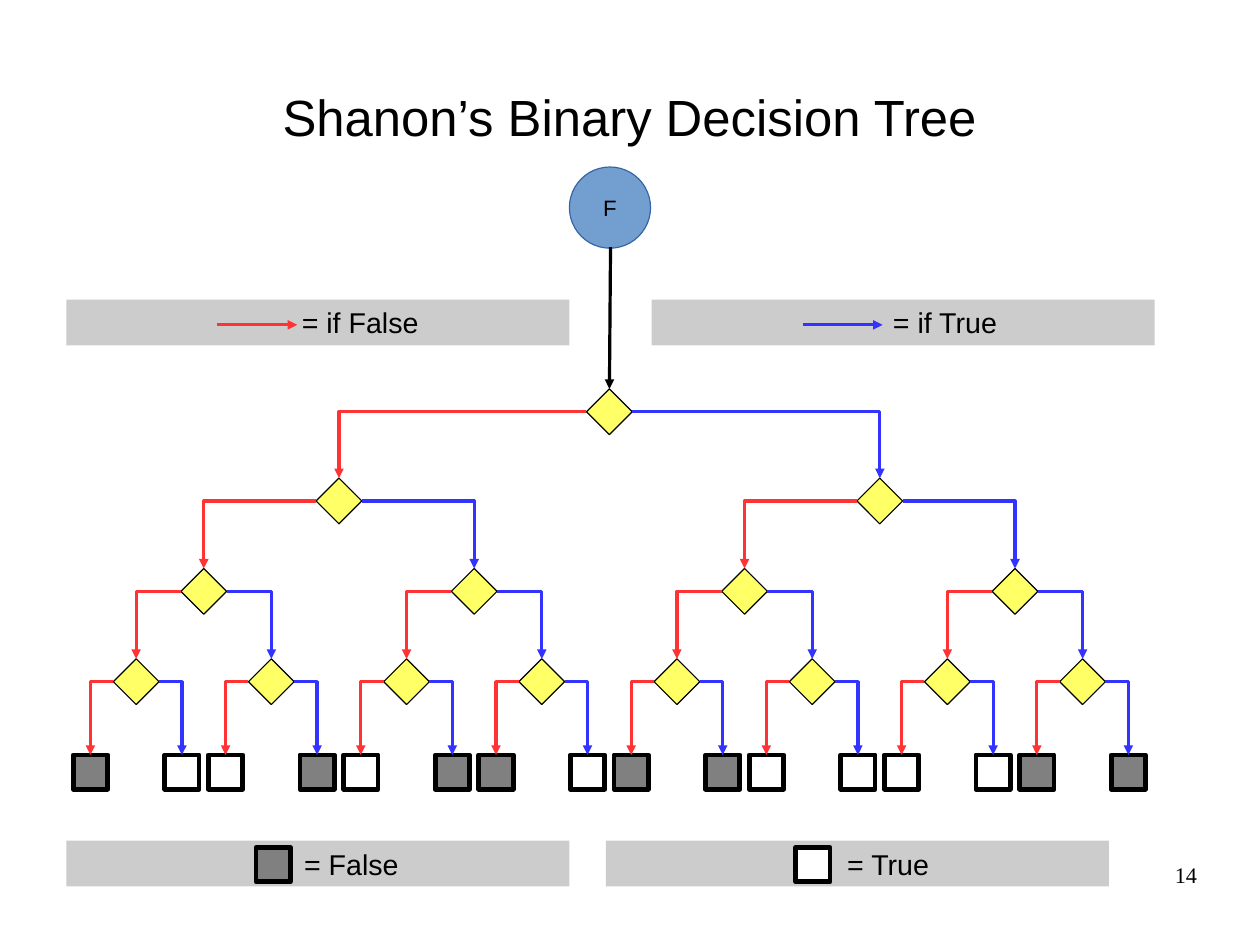
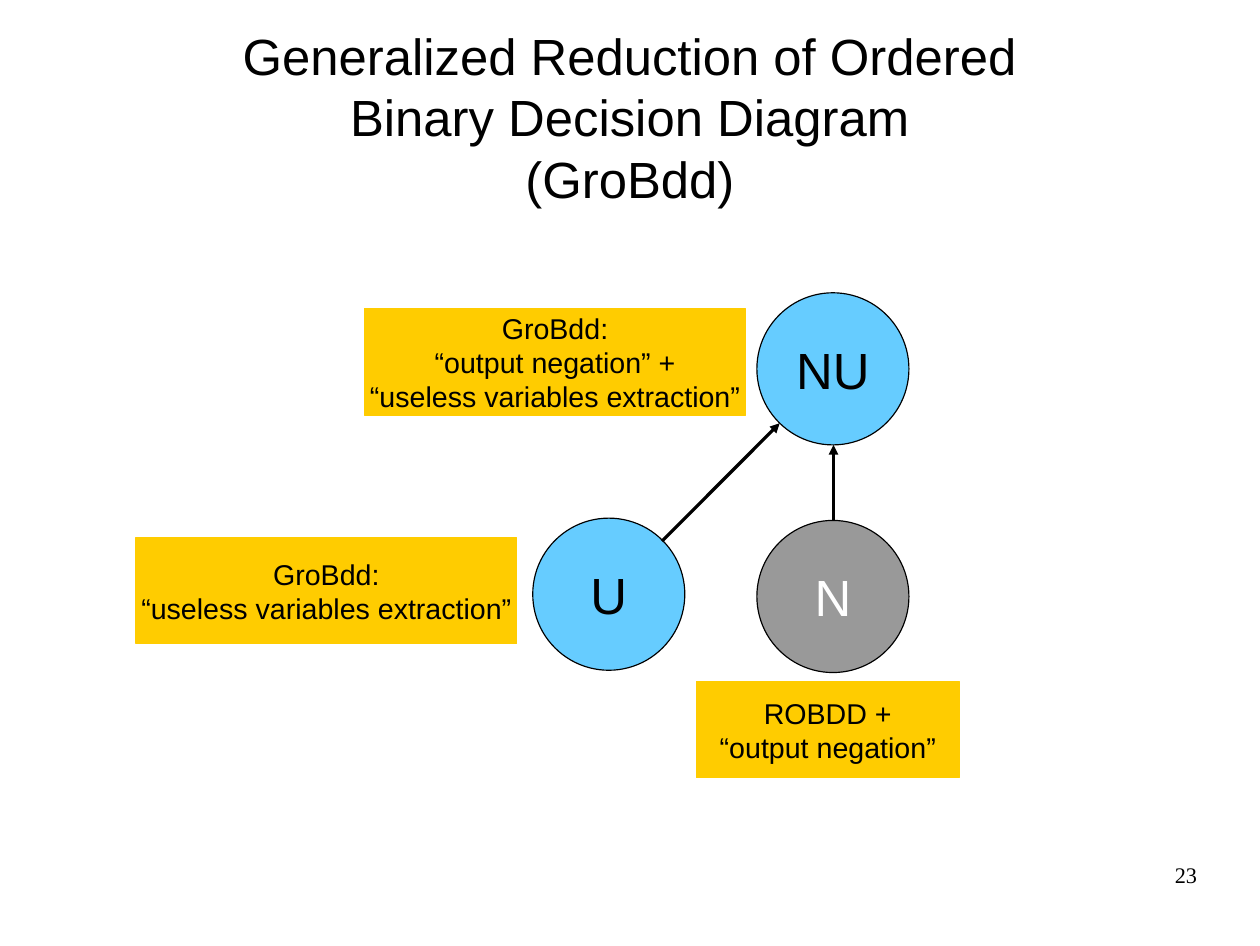
from collections import namedtuple

from lxml.etree import SubElement
from pptx import Presentation
from pptx.dml.color import RGBColor
from pptx.enum.shapes import MSO_CONNECTOR as LINK, MSO_SHAPE as SHAPE
from pptx.enum.text import MSO_ANCHOR as ANCHOR, PP_ALIGN as ALIGN
from pptx.oxml.ns import qn
from pptx.util import Inches, Pt

Box = namedtuple("Box", "left top width height")

# Shared style
SANS, SERIF = "Arial", "Times New Roman"
BLACK, WHITE = "000000", "FFFFFF"
FALSE_ARROW, TRUE_ARROW = "FF3333", "3333FF"
LEAF_FILL = {"F": "808080", "T": WHITE}
BAND, DECISION = "CCCCCC", "FFFF66"
FUNCTION, FUNCTION_EDGE = "729FCF", "3465A4"
SKY, GREY, AMBER = "66CCFF", "999999", "FFCC00"
TITLE_BOX = Box(0.55, 0.2, 9.92, 1.64)
NUMBER_BOX = Box(7.9, 7.53, 2.57, 0.57)

# Tree geometry
NODE, LEAF, LEAF_SPREAD = 0.4, 0.3, 0.4
LEVEL_TOPS = (0, 0.78, 1.57, 2.36)
LEAVES = "FTTFTFFTFFTTTTFF"


def rgb(color):
    return RGBColor.from_string(color)


def inches(box):
    return [Inches(length) for length in box]


def write(frame, paragraphs, size, font=SANS, color=BLACK, align=ALIGN.CENTER,
          anchor=ANCHOR.MIDDLE, wrap=False, insets=(0.1, 0.05, 0.1, 0.05)):
    """Fill a text frame; each paragraph is a list of lines."""
    frame.word_wrap, frame.vertical_anchor = wrap, anchor
    (frame.margin_left, frame.margin_top,
     frame.margin_right, frame.margin_bottom) = inches(insets)
    for index, lines in enumerate(paragraphs):
        paragraph = frame.add_paragraph() if index else frame.paragraphs[0]
        paragraph.alignment = align
        for number, line in enumerate(lines):
            if number:
                paragraph.add_line_break()
            run = paragraph.add_run()
            run.text = line
            run.font.name, run.font.size = font, Pt(size)
            run.font.color.rgb = rgb(color)


def add_figure(slide, kind, box, fill, edge=None, weight=0):
    figure = slide.shapes.add_shape(kind, *inches(box))
    figure.shadow.inherit = False
    figure.fill.solid()
    figure.fill.fore_color.rgb = rgb(fill)
    if edge:
        figure.line.color.rgb = rgb(edge)
        figure.line.width = Pt(weight)
    else:
        figure.line.fill.background()
    return figure


def add_arrow(slide, start, end, color=BLACK, kind=LINK.STRAIGHT):
    arrow = slide.shapes.add_connector(kind, *inches((*start, *end)))
    arrow.line.color.rgb = rgb(color)
    arrow.line.width = Pt(0)
    SubElement(arrow.line._get_or_add_ln(), qn("a:tailEnd"), type="triangle")
    SubElement(arrow.element.spPr, qn("a:effectLst"))
    return arrow


def add_branch(slide, parent, side, child, color):
    """Join a side of the parent to the top of the child with one bend."""
    branch = add_arrow(slide, (0, 0), (1, 1), color, LINK.ELBOW)
    branch.element.spPr.find(qn("a:prstGeom")).set("prst", "bentConnector2")
    branch.begin_connect(parent, side)
    branch.end_connect(child, 0)


def add_frame(prs, title_lines, number):
    """Start a slide with its title and page number."""
    slide = prs.slides.add_slide(prs.slide_layouts[6])
    title = slide.shapes.add_textbox(*inches(TITLE_BOX))
    write(title.text_frame, [title_lines], 32, wrap=True, insets=(0,) * 4)
    page = slide.shapes.add_textbox(*inches(NUMBER_BOX))
    write(page.text_frame, [[str(number)]], 14, SERIF, align=ALIGN.RIGHT,
          anchor=ANCHOR.TOP, wrap=True, insets=(0,) * 4)
    return slide


def add_leaf(slide, left, top, value):
    return add_figure(slide, SHAPE.RECTANGLE, Box(left, top, LEAF, LEAF),
                      LEAF_FILL[value], BLACK, 3)


def add_band(slide, box, text, indent):
    band = add_figure(slide, SHAPE.RECTANGLE, box, BAND)
    write(band.text_frame, [[text]], 18, align=ALIGN.LEFT, wrap=True,
          insets=(indent, 0.05, 0.1, 0.05))


def add_arrow_key(slide, box, text, indent, color):
    add_band(slide, box, text, indent)
    left, middle = box.left + 1.32, box.top + 0.22
    add_arrow(slide, (left, middle), (left + 0.7, middle), color)


def add_leaf_key(slide, box, text, indent, value):
    add_band(slide, box, text, indent)
    add_leaf(slide, box.left + 1.66, box.top + 0.06, value)


def add_tree(slide, box, leaves, center=None, level=0):
    """Draw a decision and, below it, both halves of its leaves."""
    if center is None:
        center = box.left + box.width / 2
    if level == len(LEVEL_TOPS):
        return add_leaf(slide, center - LEAF / 2,
                        box.top + box.height - LEAF, leaves)
    decision = add_figure(
        slide, SHAPE.DIAMOND,
        Box(center - NODE / 2, box.top + LEVEL_TOPS[level], NODE, NODE),
        DECISION, BLACK)
    last = level == len(LEVEL_TOPS) - 1
    spread = LEAF_SPREAD if last else box.width / 2 ** (level + 2)
    half = len(leaves) // 2
    for sign, side, part, color in ((-1, 1, leaves[:half], FALSE_ARROW),
                                    (1, 3, leaves[half:], TRUE_ARROW)):
        child = add_tree(slide, box, part, center + sign * spread, level + 1)
        add_branch(slide, decision, side, child, color)
    return decision


def add_circle(slide, box, text, size, fill, edge=BLACK, color=BLACK):
    circle = add_figure(slide, SHAPE.OVAL, box, fill, edge)
    write(circle.text_frame, [[text]], size, color=color)


def add_caption(slide, box, *lines):
    caption = add_figure(slide, SHAPE.RECTANGLE, box, AMBER, AMBER)
    write(caption.text_frame, [[line] for line in lines], 18)


def build_tree_slide(prs):
    slide = add_frame(prs, ["Shanon’s Binary Decision Tree"], 14)
    # Keys for arrows and leaves
    add_arrow_key(slide, Box(0.58, 2.62, 4.4, 0.4), "= if False", 2.06,
                  FALSE_ARROW)
    add_arrow_key(slide, Box(5.7, 2.62, 4.4, 0.4), "= if True", 2.11,
                  TRUE_ARROW)
    add_leaf_key(slide, Box(0.58, 7.35, 4.4, 0.4), "= False", 2.08, "F")
    add_leaf_key(slide, Box(5.3, 7.35, 4.4, 0.4), "= True", 2.11, "T")
    # Function and its decisions
    add_circle(slide, Box(4.98, 1.46, 0.71, 0.71), "F", 14, FUNCTION,
               FUNCTION_EDGE)
    add_arrow(slide, (5.34, 2.16), (5.33, 3.4))
    add_tree(slide, Box(0.6, 3.4, 9.46, 3.5), LEAVES)


def add_model_graph(slide, box):
    """Draw the three models, their captions and the arrows between them."""
    def place(left, top, width, height):
        return Box(box.left + left, box.top + top, width, height)

    def point(left, top):
        return box.left + left, box.top + top

    size = 1.33
    add_circle(slide, place(5.43, 1.99, size, size), "N", 32, GREY,
               color=WHITE)
    add_circle(slide, place(5.43, 0, size, size), "NU", 32, SKY)
    add_circle(slide, place(3.47, 1.97, size, size), "U", 32, SKY)
    add_caption(slide, place(4.9, 3.4, 2.3, 0.84),
                "ROBDD +", "“output negation”")
    add_caption(slide, place(2, 0.14, 3.33, 0.93), "GroBdd:",
                "“output negation” +", "“useless variables extraction”")
    add_caption(slide, place(0, 2.14, 3.33, 0.93), "GroBdd:",
                "“useless variables extraction”")
    add_arrow(slide, point(6.1, 1.99), point(6.1, 1.33))
    add_arrow(slide, point(4.6, 2.17), point(5.63, 1.14))


def build_model_slide(prs):
    slide = add_frame(prs, ["Generalized Reduction of Ordered",
                            "Binary Decision Diagram", "(GroBdd)"], 23)
    add_model_graph(slide, Box(1.19, 2.56, 7.2, 4.24))


def main():
    prs = Presentation()
    prs.slide_width, prs.slide_height = Inches(11.02), Inches(8.27)
    build_tree_slide(prs)
    build_model_slide(prs)
    prs.save("out.pptx")


if __name__ == "__main__":
    main()
